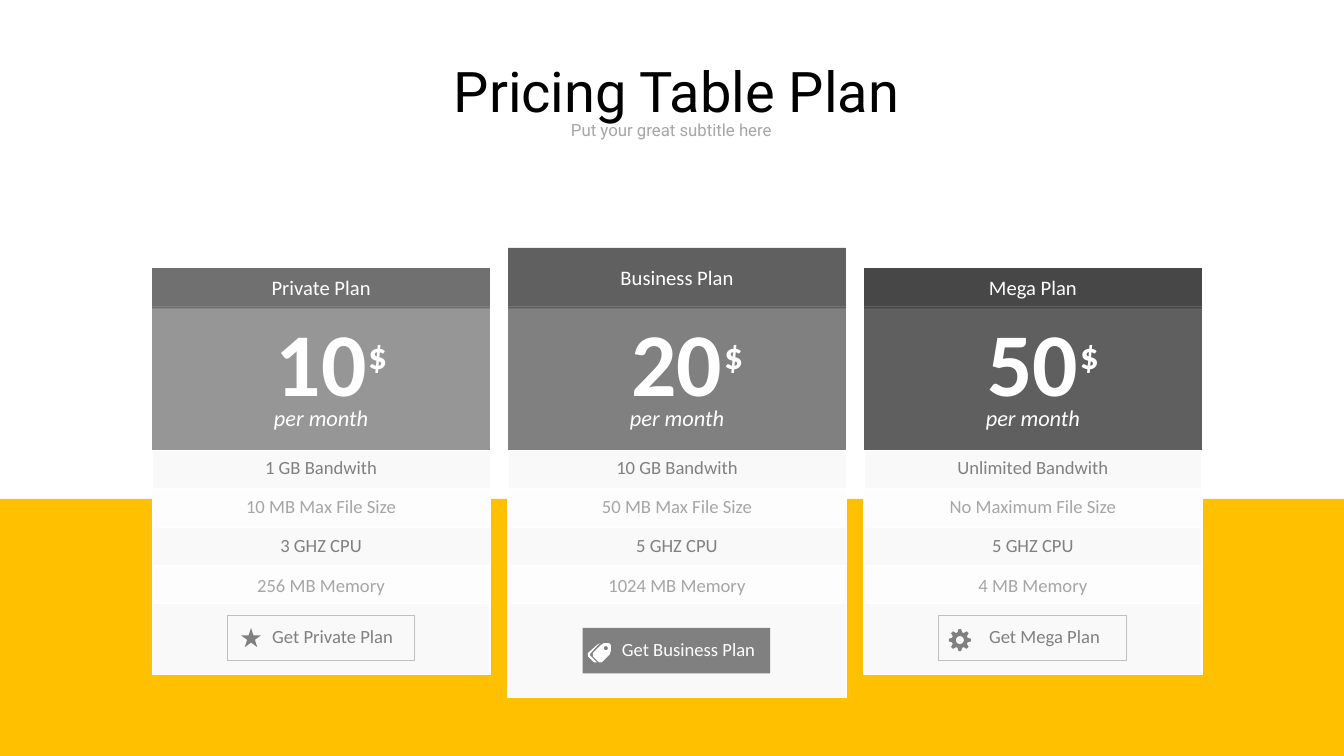
from dataclasses import dataclass
from math import cos, radians, sin

from lxml.etree import SubElement
from pptx import Presentation
from pptx.dml.color import RGBColor
from pptx.enum.shapes import MSO_SHAPE
from pptx.enum.text import MSO_AUTO_SIZE, PP_ALIGN
from pptx.oxml.ns import qn
from pptx.util import Inches, Pt


@dataclass(frozen=True)
class Theme:
    white: str = "FFFFFF"
    black: str = "000000"
    accent: str = "FFC000"
    dark_text: str = "808080"
    light_text: str = "A6A6A6"
    outline: str = "BFBFBF"
    card: str = "F9F9F9"
    light_row: str = "FDFDFD"
    title_font: str = "Roboto"
    body_font: str = "Calibri"
    title: float = 40
    subtitle: float = 12
    name: float = 14.7
    price: float = 64
    currency: float = 26.7
    period: float = 16
    body: float = 13.3


@dataclass(frozen=True)
class Plan:
    name: str
    price: str
    features: tuple
    header_color: str
    price_color: str
    icon: str
    featured: bool = False


THEME = Theme()
SLIDE_WIDTH, SLIDE_HEIGHT = 13.33, 7.5
COLUMN_LEFT, COLUMN_TOP, COLUMN_WIDTH, COLUMN_STEP = 1.51, 2.68, 3.35, 3.53
ROW_HEIGHT = 0.38
PLANS = (
    Plan("Private Plan", "10",
         ("1 GB Bandwith", "10 MB Max File Size", "3 GHZ CPU", "256 MB Memory"),
         "707070", "969696", "star"),
    Plan("Business Plan", "20",
         ("10 GB Bandwith", "50 MB Max File Size", "5 GHZ CPU", "1024 MB Memory"),
         "606060", "808080", "tags", featured=True),
    Plan("Mega Plan", "50",
         ("Unlimited Bandwith", "No Maximum File Size", "5 GHZ CPU", "4 MB Memory"),
         "474747", "5F5F5F", "gear"),
)


def paint(shape, fill=None, line=None, line_width=1):
    shape.shadow.inherit = False
    if fill:
        shape.fill.solid()
        shape.fill.fore_color.rgb = RGBColor.from_string(fill)
    else:
        shape.fill.background()
    if line:
        shape.line.color.rgb = RGBColor.from_string(line)
        shape.line.width = Pt(line_width)
    else:
        shape.line.fill.background()


def add_box(slide, left, top, width, height, fill=None, line=None, line_width=1,
            kind=MSO_SHAPE.RECTANGLE):
    shape = slide.shapes.add_shape(
        kind, Inches(left), Inches(top), Inches(width), Inches(height))
    paint(shape, fill, line, line_width)
    return shape


def add_label(slide, text, center, top, size, color, font=THEME.body_font,
              bold=False, italic=False):
    """Add one centred line in a box sized from its text."""
    width = 0.3 + 0.007 * size * len(text)
    height = 0.1 + size / 60
    box = slide.shapes.add_textbox(
        Inches(center - width / 2), Inches(top), Inches(width), Inches(height))
    frame = box.text_frame
    frame.word_wrap = False
    frame.auto_size = MSO_AUTO_SIZE.SHAPE_TO_FIT_TEXT
    paragraph = frame.paragraphs[0]
    paragraph.text = text
    paragraph.alignment = PP_ALIGN.CENTER
    paragraph.font.name = font
    paragraph.font.size = Pt(size)
    paragraph.font.bold = bold
    paragraph.font.italic = italic
    paragraph.font.color.rgb = RGBColor.from_string(color)


def add_outline(slide, left, top, contours, fill):
    """Draw closed contours, given in inches from left and top, as one shape."""
    placed = [[(Inches(left + x), Inches(top + y)) for x, y in contour]
              for contour in contours]
    builder = slide.shapes.build_freeform(*placed[0][0], scale=1.0)
    for index, points in enumerate(placed):
        if index:
            builder.move_to(*points[0])
        builder.add_line_segments(points[1:], close=True)
    paint(builder.convert_to_shape(), fill)


def polar(center, radius, angle):
    return (center[0] + radius * cos(radians(angle)),
            center[1] + radius * sin(radians(angle)))


def circle(center, radius):
    return [polar(center, radius, angle) for angle in range(0, 360, 15)]


def add_star(slide, left, top):
    add_box(slide, left + 0.14, top + 0.13, 0.2, 0.19, THEME.dark_text,
            kind=MSO_SHAPE.STAR_5_POINT)


def add_tags(slide, left, top):
    front = [(0.21, 0), (0.16, 0), (0.13, 0.02), (0.05, 0.1), (0.05, 0.13),
             (0.11, 0.19), (0.14, 0.19), (0.22, 0.11), (0.23, 0.07), (0.23, 0.02)]
    back = [(0.02, 0.12), (0.09, 0.19), (0.06, 0.19), (0, 0.13), (0, 0.1),
            (0.09, 0.02), (0.12, 0), (0.02, 0.11)]
    hole = circle((0.18, 0.05), 0.02)
    add_outline(slide, left + 0.05, top + 0.15, (front, hole, back), THEME.white)


def add_gear(slide, left, top):
    center = (0.11, 0.11)
    tooth = ((-16, 0.08), (-7, 0.11), (7, 0.11), (16, 0.08))
    rim = [polar(center, radius, turn + offset)
           for turn in range(0, 360, 45) for offset, radius in tooth]
    add_outline(slide, left + 0.1, top + 0.14, (rim, circle(center, 0.04)),
                THEME.dark_text)


ICONS = {"star": add_star, "tags": add_tags, "gear": add_gear}


def add_heading(slide, center, top):
    add_label(slide, "Put your great subtitle here", center - 0.05, top + 0.63,
              THEME.subtitle, THEME.light_text, THEME.title_font)
    add_label(slide, "Pricing Table Plan", center, top, THEME.title,
              THEME.black, THEME.title_font)


def add_header(slide, plan, left, top, width):
    strip = add_box(slide, left, top, width, ROW_HEIGHT, THEME.black)
    color = strip.fill._xPr.find(qn("a:solidFill"))[0]
    SubElement(color, qn("a:alpha"), val="25000")
    rise, height = (0.22, 0.58) if plan.featured else (0.02, ROW_HEIGHT)
    add_box(slide, left, top - rise, width, height, plan.header_color)
    add_label(slide, plan.name, left + width / 2, top - rise + height / 2 - 0.17,
              THEME.name, THEME.white)


def add_price(slide, plan, center, top):
    add_label(slide, plan.price, center, top - 0.04, THEME.price, THEME.white, bold=True)
    add_label(slide, "$", center + 0.56, top + 0.21, THEME.currency, THEME.white, bold=True)
    add_label(slide, "per month", center, top + 0.92, THEME.period, THEME.white, italic=True)


def add_button(slide, plan, left, top):
    if plan.featured:
        add_box(slide, left, top, 1.86, 0.45, THEME.dark_text)
    else:
        add_box(slide, left, top, 1.86, 0.45, line=THEME.outline, line_width=0.25)
    add_label(slide, f"Get {plan.name}", left + 1.05, top + 0.05, THEME.body,
              THEME.white if plan.featured else THEME.dark_text)
    ICONS[plan.icon](slide, left, top)


def add_plan(slide, plan, left, top, width):
    center = left + width / 2
    rows_top = top + 1.79
    add_box(slide, left, top, width, 4.24 if plan.featured else 4.01,
            THEME.card, THEME.white)
    add_box(slide, left, top + 0.36, width, 1.43, plan.price_color)
    for row in range(len(plan.features)):
        add_box(slide, left, rows_top + row * ROW_HEIGHT, width, ROW_HEIGHT,
                THEME.light_row if row % 2 else THEME.card, THEME.white, 0.5)
    add_header(slide, plan, left, top, width)
    add_price(slide, plan, center, top + 0.36)
    for row, feature in enumerate(plan.features):
        add_label(slide, feature, center, rows_top + row * 0.39, THEME.body,
                  THEME.light_text if row % 2 else THEME.dark_text)
    add_button(slide, plan, left + 0.74, top + (3.55 if plan.featured else 3.42))


def main():
    presentation = Presentation()
    presentation.slide_width = Inches(SLIDE_WIDTH)
    presentation.slide_height = Inches(SLIDE_HEIGHT)
    slide = presentation.slides.add_slide(presentation.slide_layouts[6])
    add_heading(slide, 6.71, 0.51)
    band_top = 0.66 * SLIDE_HEIGHT
    add_box(slide, 0, band_top, SLIDE_WIDTH, SLIDE_HEIGHT - band_top, THEME.accent)
    for index, plan in enumerate(PLANS):
        add_plan(slide, plan, COLUMN_LEFT + index * COLUMN_STEP, COLUMN_TOP, COLUMN_WIDTH)
    presentation.save("out.pptx")


if __name__ == "__main__":
    main()
